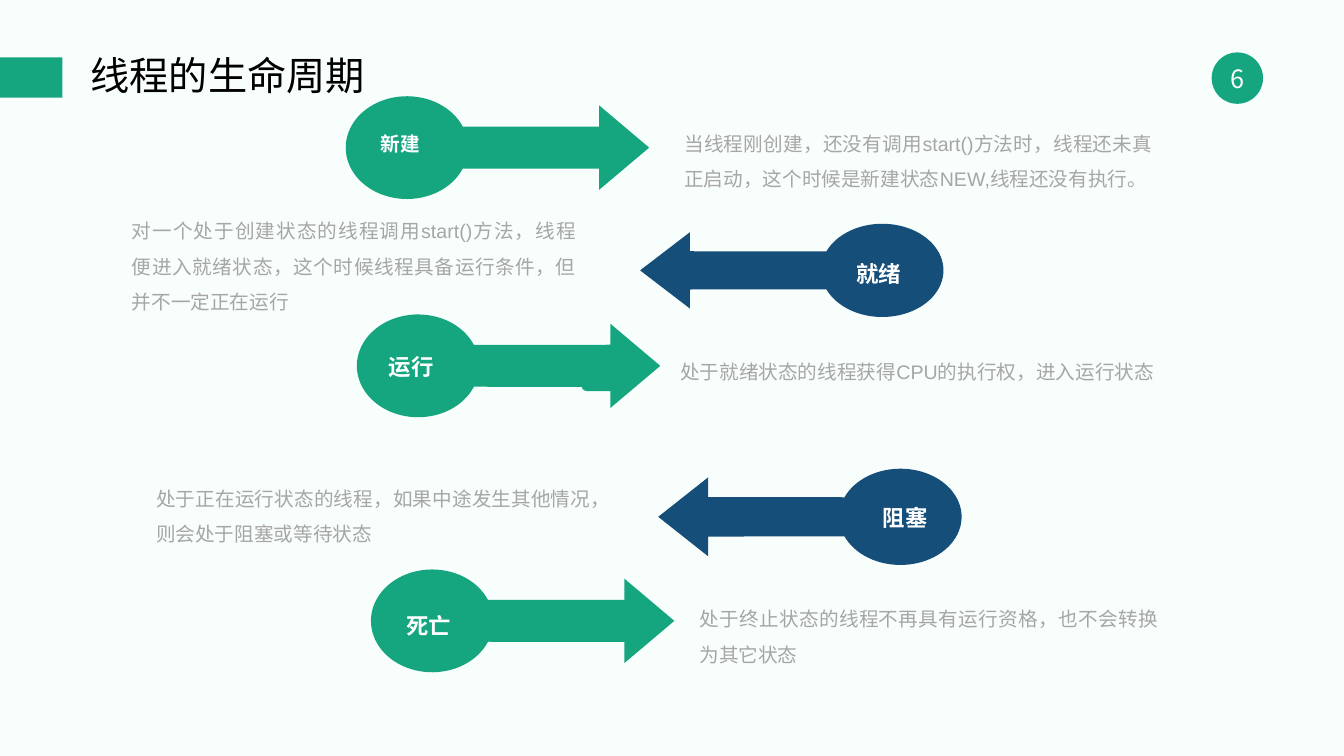
import math

import pptx
import pptx.util
from lxml import etree
from pptx.dml.color import RGBColor
from pptx.enum.shapes import MSO_SHAPE
from pptx.enum.text import MSO_ANCHOR, MSO_AUTO_SIZE, PP_ALIGN
from pptx.oxml.ns import qn

CELL = pptx.util.Inches(0.1)  # grid of 133.3 columns by 75 rows
COLUMNS, ROWS = 133.33, 75

GREEN = RGBColor(0x15, 0xA6, 0x80)
BLUE = RGBColor(0x15, 0x4E, 0x79)
GREY = RGBColor(0xA6, 0xA6, 0xA6)
WHITE = RGBColor(0xFF, 0xFF, 0xFF)
BLACK = RGBColor(0, 0, 0)
MINT = RGBColor(0xF8, 0xFE, 0xFC)
HEADING_FONT, BODY_FONT = "Noto Sans CJK SC", "Arial"

ARROW_WIDTH, BULB_RADIUS, HEAD_LENGTH = 30.1, 6.07, 4.95
NECK_ANGLE = 24  # degrees from the axis where the shaft leaves the bulb
ARC_STEPS = 72

# label, size, colour, points right, arrow (left, top, height), label box, note box, note
STATES = [
    ("新建", 14, GREEN, True, (34.3, 9.55, 10.2), (36.8, 12.6, 5.9, 5.3), (66.9, 11.4, 48.4, 7.8),
     "当线程刚创建，还没有调用start()方法时，线程还未真正启动，这个时候是新建状态NEW,线程还没有执行。"),
    ("就绪", 16, BLUE, False, (63.5, 22.2, 9.25), (84, 25.3, 6.5, 2.8), (12.1, 20.1, 46, 11.4),
     "对一个处于创建状态的线程调用start()方法，线程便进入就绪状态，这个时候线程具备运行条件，但并不一定正在运行"),
    ("运行", 16, GREEN, True, (35.4, 31.2, 10.2), (37.6, 34.5, 6.5, 3.1), (66.5, 34.1, 49.7, 4.3),
     "处于就绪状态的线程获得CPU的执行权，进入运行状态"),
    ("阻塞", 16, BLUE, False, (65.3, 46.5, 9.55), (86.6, 49.5, 6.5, 2.9), (14.5, 46.6, 45.1, 7.8),
     "处于正在运行状态的线程，如果中途发生其他情况，则会处于阻塞或等待状态"),
    ("死亡", 16, GREEN, True, (36.8, 56.5, 10.2), (39.3, 60.2, 6.5, 3.7), (68.4, 58.6, 47.5, 7.8),
     "处于终止状态的线程不再具有运行资格，也不会转换为其它状态"),
]


def cells(*values):
    return [round(v * CELL) for v in values]


def paint(sp, color):
    sp.shadow.inherit = False
    sp.fill.solid()
    sp.fill.fore_color.rgb = color
    sp.line.fill.background()


def add_block(s, kind, box, color):
    sp = s.shapes.add_shape(kind, *cells(*box))
    paint(sp, color)
    return sp


def write(tf, text, size, color, font, align, bold=False, spacing=None):
    """Set one paragraph, with the same typeface for Latin and Chinese."""
    tf.text = text
    p = tf.paragraphs[0]
    p.alignment = align
    if spacing:
        p.line_spacing = spacing
    r = p.runs[0]
    r.font.size = pptx.util.Pt(size)
    r.font.bold = bold
    r.font.color.rgb = color
    r.font.name = font
    etree.SubElement(r._r.get_or_add_rPr(), qn("a:ea"), typeface=font)


def add_bulb_arrow(s, left, top, height, color, points_right):
    """Draw an elliptical bulb that runs into an arrow, as one outline."""
    middle = top + height / 2
    neck = math.radians(NECK_ANGLE)
    sweep = 2 * (math.pi - neck)
    outline = []
    for i in range(ARC_STEPS + 1):
        angle = neck + sweep * i / ARC_STEPS
        outline.append((BULB_RADIUS * (1 + math.cos(angle)),
                        middle + height / 2 * math.sin(angle)))
    shaft, barb = height * 0.205, height * 0.41
    head = ARROW_WIDTH - HEAD_LENGTH
    outline += [(head, middle - shaft), (head, middle - barb), (ARROW_WIDTH, middle),
                (head, middle + barb), (head, middle + shaft)]
    points = [cells(left + (x if points_right else ARROW_WIDTH - x), y) for x, y in outline]
    builder = s.shapes.build_freeform(*points[0])
    builder.add_line_segments(points[1:], close=True)
    paint(builder.convert_to_shape(), color)


def add_label(s, box, text, size, color):
    tf = add_block(s, MSO_SHAPE.RECTANGLE, box, color).text_frame
    tf.word_wrap = False
    tf.vertical_anchor = MSO_ANCHOR.TOP
    write(tf, text, size, WHITE, HEADING_FONT, PP_ALIGN.JUSTIFY, bold=True)


def add_note(s, box, text):
    tf = s.shapes.add_textbox(*cells(*box)).text_frame
    tf.word_wrap = True
    write(tf, text, 14, GREY, BODY_FONT, PP_ALIGN.JUSTIFY, spacing=1.5)


def add_heading(s, text):
    title = s.shapes.title
    title.left, title.top, title.width, title.height = cells(8, 5.2, 74.5, 5.1)
    tf = title.text_frame
    tf.auto_size = MSO_AUTO_SIZE.NONE
    tf.vertical_anchor = MSO_ANCHOR.MIDDLE
    write(tf, text, 28, BLACK, HEADING_FONT, PP_ALIGN.LEFT, spacing=0.9)


def add_page_number(s, number):
    tf = add_block(s, MSO_SHAPE.OVAL, (120.2, 5.2, 5.1, 5.1), GREEN).text_frame
    tf.margin_left = tf.margin_right = tf.margin_top = tf.margin_bottom = 0
    tf.vertical_anchor = MSO_ANCHOR.MIDDLE
    write(tf, number, 18, WHITE, HEADING_FONT, PP_ALIGN.CENTER)


def main():
    prs = pptx.Presentation()
    prs.slide_width, prs.slide_height = cells(COLUMNS, ROWS)
    s = prs.slides.add_slide(prs.slide_layouts[5])
    s.background.fill.solid()
    s.background.fill.fore_color.rgb = MINT

    add_page_number(s, "6")
    add_block(s, MSO_SHAPE.RECTANGLE, (0, 5.7, 6.2, 4), GREEN)
    add_heading(s, "线程的生命周期")
    add_block(s, MSO_SHAPE.ROUNDED_RECTANGLE, (57.7, 35.8, 5.1, 3), GREEN)
    for label, size, color, points_right, arrow, label_box, note_box, note in STATES:
        add_bulb_arrow(s, *arrow, color, points_right)
        add_label(s, label_box, label, size, color)
        add_note(s, note_box, note)

    prs.save("out.pptx")


if __name__ == "__main__":
    main()
